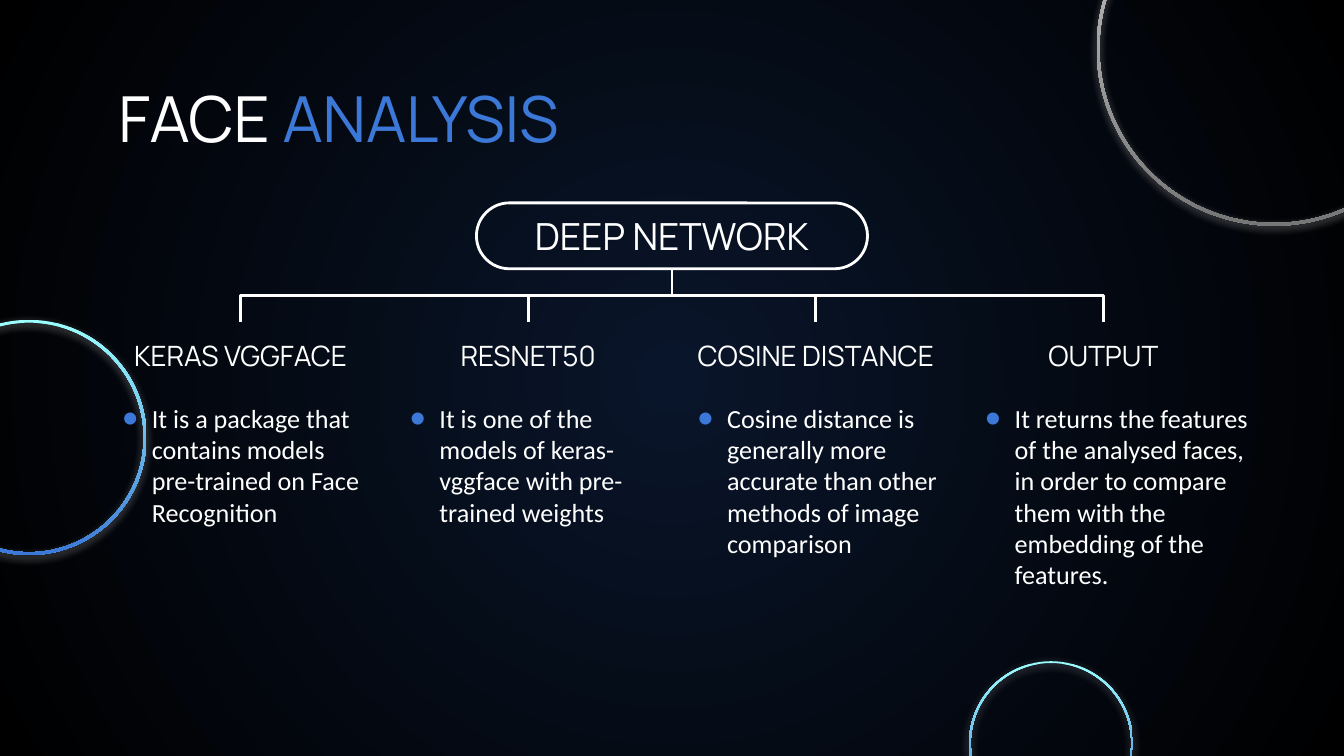
from lxml import etree
from pptx import Presentation, util as u
from pptx.dml.color import RGBColor
from pptx.enum import shapes, text
from pptx.oxml import parse_xml
from pptx.oxml.ns import nsdecls, qn

COLORS = {"white": "FFFFFF", "blue": "3C78D8", "cyan": "9CFFFF", "silver": "CCCCCC",
          "grey": "767676", "navy": "09152A", "black": "000000"}
HEADING_FONT, BODY_FONT = "Manrope", "Calibri"

TITLE = [("FACE ", "white"), ("ANALYSIS", "blue")]
ROOT = "DEEP NETWORK"
BRANCHES = [  # heading, explanation, width of the explanation
    ("KERAS VGGFACE", "It is a package that contains models pre-trained on Face Recognition", 2.02),
    ("RESNET50", "It is one of the models of keras-vggface with pre-trained weights", 2.02),
    ("COSINE DISTANCE", "Cosine distance is generally more accurate than other methods of image comparison", 2.02),
    ("OUTPUT", "It returns the features of the analysed faces, in order to compare them "
               "with the embedding of the features.", 2.24),
]
RINGS = [  # left, top, diameter, thickness, top colour, bottom colour
    (8.16, -0.96, 2.64, 0.008, "silver", "grey"),
    (-0.66, 2.38, 1.75, 0.012, "cyan", "blue"),
    (7.21, 4.92, 1.22, 0.011, "cyan", "blue"),
]

WIDTH = 10
HEIGHT = WIDTH * 9 / 16
MARGIN, COLUMN = 0.78, 2.02
CONTENT = WIDTH - 2 * MARGIN
PITCH = (CONTENT - COLUMN) / (len(BRANCHES) - 1)
ROW, ROOT_TOP, ROOT_WIDTH = 0.49, 1.51, 2.91
ROOT_BOTTOM, HEADING_TOP = ROOT_TOP + ROW, 2.4
BODY_TOP, BODY_HEIGHT = HEADING_TOP + ROW, 1.11


def rgb(name):
    return RGBColor.from_string(COLORS[name])


def place(item, left, top, width, height):
    item.left, item.top = u.Inches(left), u.Inches(top)
    item.width, item.height = u.Inches(width), u.Inches(height)


def prepare(frame, anchor):
    frame.word_wrap = True
    frame.auto_size = text.MSO_AUTO_SIZE.NONE
    frame.vertical_anchor = anchor
    frame.margin_left = frame.margin_right = u.Inches(0.1)
    frame.margin_top = frame.margin_bottom = u.Inches(0.1)


def style(span, font, size, color="white"):
    span.font.name, span.font.size, span.font.bold = font, u.Pt(size), False
    span.font.color.rgb = rgb(color)


def gradient(fill, first, last):
    fill.gradient()
    for stop, name in zip(fill.gradient_stops, (first, last)):
        stop.color.rgb = rgb(name)


def radial_background(slide):
    gradient(slide.background.fill, "navy", "black")
    grad = slide.element.find(".//" + qn("a:gradFill"))
    grad.replace(grad.find(qn("a:lin")), parse_xml(
        f'<a:path {nsdecls("a")} path="circle">'
        '<a:fillToRect l="50000" t="50000" r="50000" b="50000"/></a:path>'))


def add_ring(slide, left, top, size, thickness, first, last):
    ring = slide.shapes.add_shape(shapes.MSO_SHAPE.DONUT, *map(u.Inches, (left, top, size, size)))
    ring.adjustments[0] = thickness
    gradient(ring.fill, first, last)
    ring.fill.gradient_angle = 270
    ring.line.fill.background()
    ring.element.spPr.append(parse_xml(
        f'<a:effectLst {nsdecls("a")}><a:outerShdw blurRad="{u.Pt(4.5)}" dist="{u.Pt(1.5)}" '
        f'dir="5400000" algn="bl" rotWithShape="0"><a:srgbClr val="{COLORS["white"]}">'
        '<a:alpha val="50000"/></a:srgbClr></a:outerShdw></a:effectLst>'))
    return ring


def add_label(slide, words, left, top, width, size, rounding, outlined):
    label = slide.shapes.add_shape(shapes.MSO_SHAPE.ROUNDED_RECTANGLE,
                                   *map(u.Inches, (left, top, width, ROW)))
    label.adjustments[0] = rounding
    label.shadow.inherit = False
    label.fill.background()
    if outlined:
        label.line.color.rgb, label.line.width = rgb("white"), u.Pt(1.5)
    else:
        label.line.fill.background()
    prepare(label.text_frame, text.MSO_ANCHOR.MIDDLE)
    para = label.text_frame.paragraphs[0]
    para.text = words
    para.alignment = text.PP_ALIGN.CENTER
    style(para.runs[0], HEADING_FONT, size)


def fill_bullet(frame, words):
    prepare(frame, text.MSO_ANCHOR.TOP)
    para = frame.paragraphs[0]
    para.text = words
    para.space_before = u.Pt(0)
    style(para.runs[0], BODY_FONT, 14)
    props = para._p.get_or_add_pPr()
    props.set("marL", str(u.Inches(0.25)))
    props.set("indent", str(u.Inches(-0.22)))
    color = etree.SubElement(props, qn("a:buClr"))
    etree.SubElement(color, qn("a:srgbClr"), val=COLORS["blue"])
    etree.SubElement(props, qn("a:buFont"), typeface=BODY_FONT)
    etree.SubElement(props, qn("a:buChar"), char="●")


def add_branch(slide, start, end):
    """Elbow going down, across and down: a quarter turn about the centre of its box."""
    drop, run = HEADING_TOP - ROOT_BOTTOM, abs(end - start)
    middle_x, middle_y = (start + end) / 2, (ROOT_BOTTOM + HEADING_TOP) / 2
    near, far = middle_x - drop / 2, middle_x + drop / 2
    rightward = end > start
    if rightward:
        near, far = far, near
    elbow = slide.shapes.add_connector(
        shapes.MSO_CONNECTOR.ELBOW,
        *map(u.Inches, (near, middle_y - run / 2, far, middle_y + run / 2)))
    elbow.element.spPr.find(qn("a:xfrm")).set("rot", str((270 if rightward else 90) * 60000))
    elbow.line.color.rgb, elbow.line.width = rgb("white"), u.Pt(1.5)
    etree.SubElement(elbow.element.spPr, qn("a:effectLst"))


def main():
    deck = Presentation()
    deck.slide_width, deck.slide_height = u.Inches(WIDTH), u.Inches(HEIGHT)
    slide = deck.slides.add_slide(deck.slide_layouts.get_by_name("Comparison"))
    radial_background(slide)

    for position, ring in enumerate(RINGS, start=2):  # behind the placeholders
        slide.shapes._spTree.insert(position, add_ring(slide, *ring).element)

    title = slide.shapes.title
    place(title, MARGIN, 0.49, CONTENT, 0.63)
    prepare(title.text_frame, text.MSO_ANCHOR.TOP)
    para = title.text_frame.paragraphs[0]
    para.alignment = text.PP_ALIGN.LEFT
    for words, color in TITLE:
        span = para.add_run()
        span.text = words
        style(span, HEADING_FONT, 34, color)

    add_label(slide, ROOT, (WIDTH - ROOT_WIDTH) / 2, ROOT_TOP, ROOT_WIDTH, 20, 0.5, True)
    bodies = [item for item in slide.placeholders if item.placeholder_format.idx > 0]
    for index, (body, (heading, words, width)) in enumerate(zip(bodies, BRANCHES)):
        left = MARGIN + index * PITCH
        place(body, left, BODY_TOP, width, BODY_HEIGHT)
        fill_bullet(body.text_frame, words)
        add_label(slide, heading, left, HEADING_TOP, COLUMN, 15, 0, False)
        add_branch(slide, WIDTH / 2, left + COLUMN / 2)

    deck.save("out.pptx")


if __name__ == "__main__":
    main()
